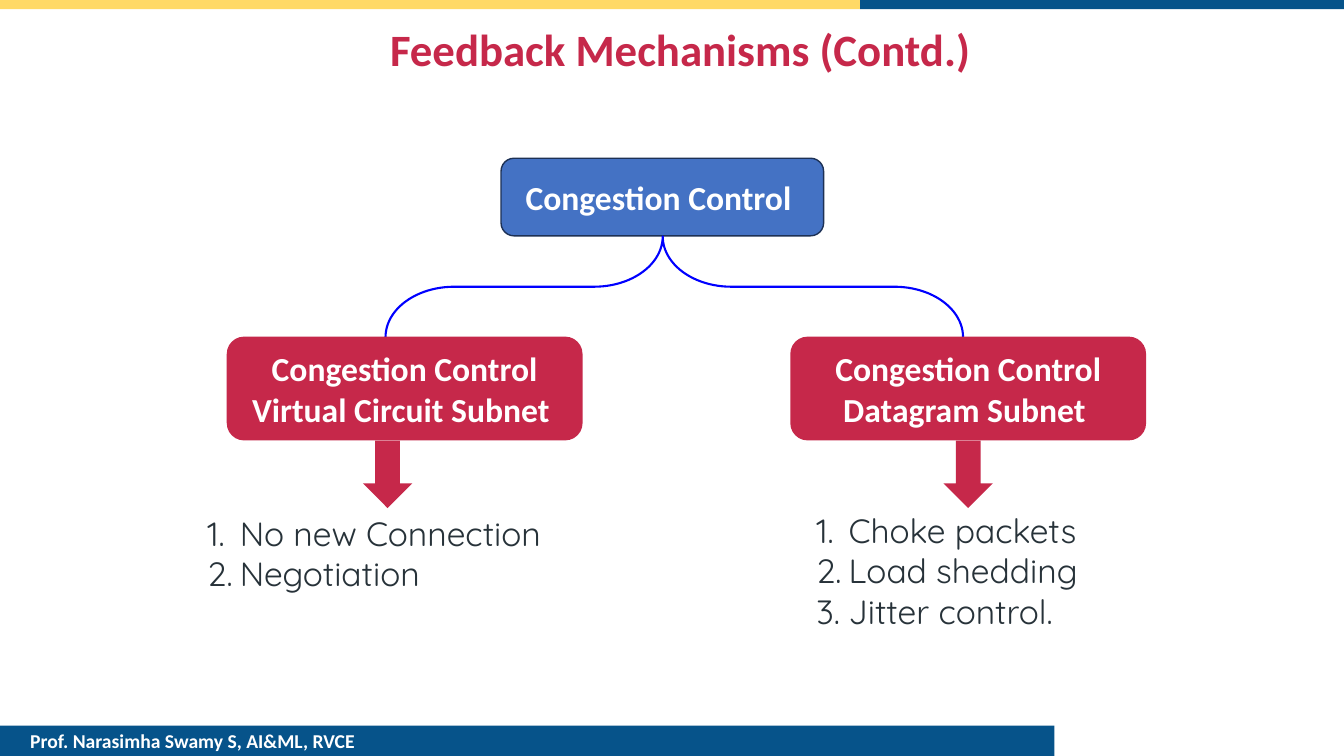
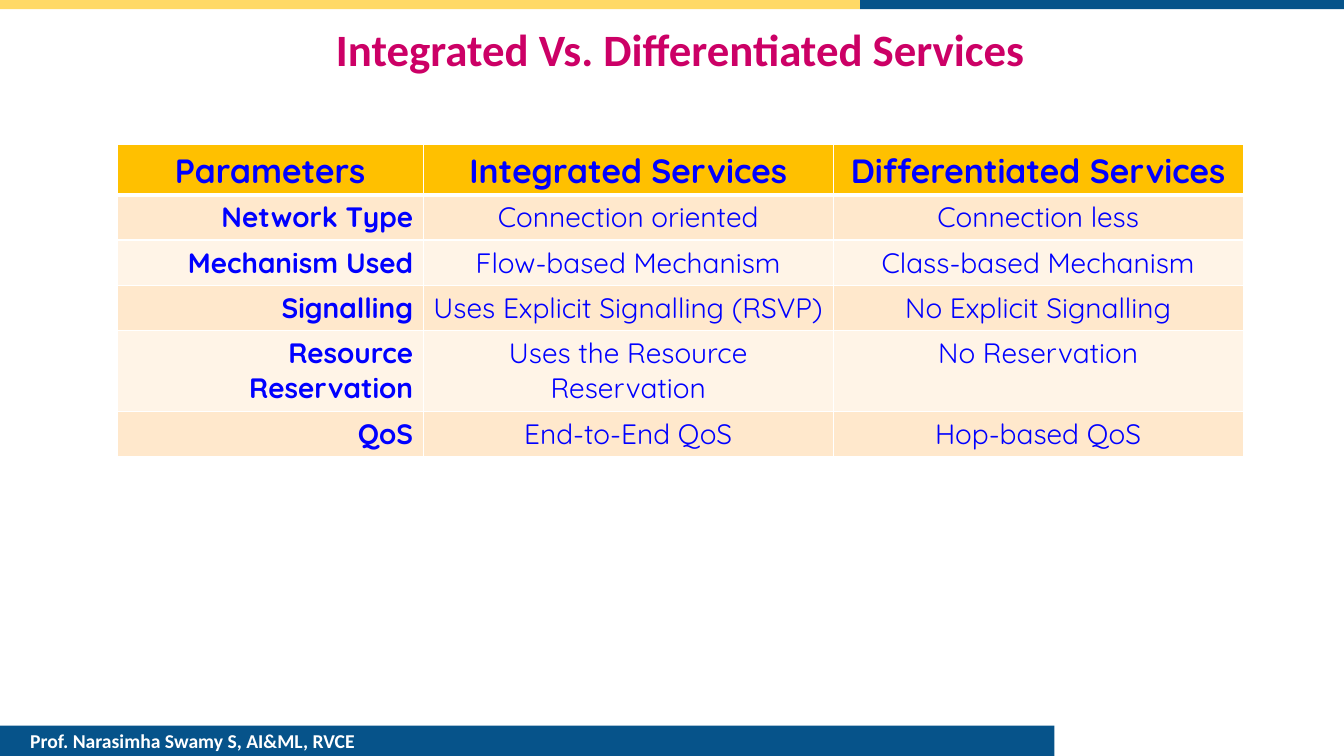
from collections import namedtuple
from lxml.etree import SubElement as Sub
from pptx import Presentation
from pptx.dml.color import RGBColor
from pptx.enum.shapes import MSO_SHAPE as Kind
from pptx.enum.text import MSO_ANCHOR as Anchor, PP_ALIGN as Align
from pptx.oxml.ns import qn
from pptx.util import Inches, Pt

WHITE = RGBColor(0xFF, 0xFF, 0xFF)
NAVY = RGBColor(0x06, 0x53, 0x8A)
SAND = RGBColor(0xFF, 0xD9, 0x66)
RED = RGBColor(0xC6, 0x28, 0x4A)
PINK = RGBColor(0xCC, 0x00, 0x66)
BLUE = RGBColor(0x44, 0x72, 0xC4)
EDGE = RGBColor(0x1D, 0x31, 0x55)
PURE = RGBColor(0x00, 0x00, 0xFF)
SLATE = RGBColor(0x27, 0x32, 0x39)
GOLD = RGBColor(0xFF, 0xC0, 0x00)
PEACH = RGBColor(0xFF, 0xE8, 0xCC)
CREAM = RGBColor(0xFF, 0xF4, 0xE7)

TITLE = {"size": Pt(32), "name": "Calibri", "bold": True}
FOOT = {"size": Pt(14), "name": "Calibri", "bold": True}
NODE = {"size": Pt(24), "name": "Calibri", "bold": True}
ITEM = {"size": Pt(24), "name": "Quicksand", "bold": False}
HEAD = {"size": Pt(24), "name": "Quicksand", "bold": True}
LABEL = {"size": Pt(20), "name": "Quicksand", "bold": True}
BODY = {"size": Pt(20), "name": "Quicksand", "bold": False}

FOOTER = "Prof. Narasimha Swamy S, AI&ML, RVCE"
BRANCHES = [
    (3.08, 17.42, (0, 73.75, 39.63, 18.75),
     ["Congestion Control", "Virtual Circuit Subnet "],
     ["No new Connection", "Negotiation"]),
    (62.47, 78.61, (64.17, 73.13, 34, 27.08),
     ["Congestion Control", "Datagram Subnet "],
     ["Choke packets", "Load shedding", "Jitter control."]),
]
ROWS = [
    ["Parameters", "Integrated Services", "Differentiated Services"],
    ["Network Type", "Connection oriented", "Connection less"],
    ["Mechanism Used", "Flow-based Mechanism", "Class-based Mechanism"],
    ["Signalling", "Uses Explicit Signalling (RSVP)", "No Explicit Signalling"],
    ["Resource Reservation", "Uses the Resource Reservation", "No Reservation"],
    ["QoS", "End-to-End QoS", "Hop-based QoS"],
]


class Box(namedtuple("Box", "x y w h")):
    def area(self, x, y, w, h):
        return Box(int(self.x + self.w * x / 100), int(self.y + self.h * y / 100),
                   int(self.w * w / 100), int(self.h * h / 100))


def style(obj, form):
    for key, val in form.items():
        setattr(obj, key, val)


def write(frame, lines, form, color, align):
    frame.text = "\n".join(lines)
    for para in frame.paragraphs:
        para.alignment = align
        style(para.font, form)
        para.font.color.rgb = color
        for run in para.runs:
            style(run.font, form)
            run.font.color.rgb = color


def draw(slide, kind, box, fill=None, edge=None, width=1):
    shape = slide.shapes.add_shape(kind, *box)
    shape.shadow.inherit = False
    if fill is None:
        shape.fill.background()
    else:
        shape.fill.solid()
        shape.fill.fore_color.rgb = fill
    if edge is None:
        shape.line.fill.background()
    else:
        shape.line.color.rgb = edge
        shape.line.width = Pt(width)
    return shape


def label(slide, box, lines, form, color, align):
    frame = slide.shapes.add_textbox(*box).text_frame
    frame.word_wrap = True
    write(frame, lines, form, color, align)
    return frame


def base(deck, page, title, color):
    slide = deck.slides.add_slide(deck.slide_layouts[6])
    draw(slide, Kind.RECTANGLE, page.area(0, 0, 64, 1.2), SAND)
    draw(slide, Kind.RECTANGLE, page.area(64, 0, 36, 1.2), NAVY)
    foot = draw(slide, Kind.RECTANGLE, page.area(0, 96, 78.45, 4), NAVY).text_frame
    style(foot, {"margin_left": Inches(0.3), "vertical_anchor": Anchor.MIDDLE})
    write(foot, [FOOTER], FOOT, WHITE, Align.LEFT)
    frame = label(slide, page.area(6.9, 2.4, 87.45, 9.07), [title], TITLE, color, Align.CENTER)
    frame.vertical_anchor = Anchor.MIDDLE
    frame.paragraphs[0].line_spacing = 0.9
    return slide


def node(slide, box, lines, fill, edge=None):
    frame = draw(slide, Kind.ROUNDED_RECTANGLE, box, fill, edge).text_frame
    frame.vertical_anchor = Anchor.MIDDLE
    write(frame, lines, NODE, WHITE, Align.CENTER)


def brace(slide, box):
    mid = box.x + box.w // 2, box.y + box.h // 2
    turned = Box(mid[0] - box.h // 2, mid[1] - box.w // 2, box.h, box.w)
    shape = draw(slide, Kind.RIGHT_BRACE, turned, edge=PURE, width=1.5)
    shape.rotation = 270
    shape.adjustments[0] = 0.68
    shape.adjustments[1] = 0.48


def steps(slide, box, lines):
    frame = label(slide, box, lines, ITEM, SLATE, Align.JUSTIFY)
    for para in frame.paragraphs:
        props = para._p.get_or_add_pPr()
        props.set("marL", str(Inches(0.32)))
        props.set("indent", str(-Inches(0.32)))
        font = Sub(props, qn("a:buFont"))
        font.set("typeface", ITEM["name"])
        mark = Sub(props, qn("a:buAutoNum"))
        mark.set("type", "arabicPeriod")
        props.append(props.find(qn("a:defRPr")))


def tree(slide, box):
    node(slide, box.area(31.98, 1.46, 34, 16.04), ["Congestion Control "], BLUE, EDGE)
    brace(slide, box.area(19.81, 17.6, 60.87, 20.83))
    for left, tip, spot, name, items in BRANCHES:
        node(slide, box.area(left, 38.33, 37.5, 21.46), name, RED)
        draw(slide, Kind.DOWN_ARROW, box.area(tip, 59.8, 5.21, 13.96), RED)
        steps(slide, box.area(*spot), items)


def border(cell, low):
    props = cell._tc.get_or_add_tcPr()
    for side, width in zip("LRTB", (1, 1, 1, low)):
        line = Sub(props, qn("a:ln" + side))
        line.set("w", str(Pt(width)))
        fill = Sub(line, qn("a:solidFill"))
        Sub(fill, qn("a:srgbClr")).set("val", str(WHITE))


def grid(slide, box):
    table = slide.shapes.add_table(len(ROWS), len(ROWS[0]), *box).table
    for col, share in zip(table.columns, (27.2, 36.4, 36.4)):
        col.width = int(box.w * share / 100)
    for row, share in zip(table.rows, (16, 14.5, 14.5, 14.5, 26, 14.5)):
        row.height = int(box.h * share / 100)
    for r, texts in enumerate(ROWS):
        for c, text in enumerate(texts):
            cell = table.cell(r, c)
            border(cell, 1 if r else 3)
            cell.fill.solid()
            cell.fill.fore_color.rgb = (PEACH if r % 2 else CREAM) if r else GOLD
            form = HEAD if r == 0 else BODY if c else LABEL
            side = Align.RIGHT if r and c == 0 else Align.CENTER
            write(cell.text_frame, [text], form, PURE, side)
            style(cell.text_frame.paragraphs[0],
                  {"space_before": Pt(6), "space_after": Pt(6)})


def main():
    deck = Presentation()
    style(deck, {"slide_width": Inches(13.33), "slide_height": Inches(7.5)})
    page = Box(0, 0, deck.slide_width, deck.slide_height)
    tree(base(deck, page, "Feedback Mechanisms (Contd.)", RED),
         page.area(14.7, 20, 70.6, 64))
    grid(base(deck, page, "Integrated Vs. Differentiated Services", PINK),
         page.area(8.7, 19.1, 83.8, 41.3))
    deck.save("out.pptx")


if __name__ == "__main__":
    main()
